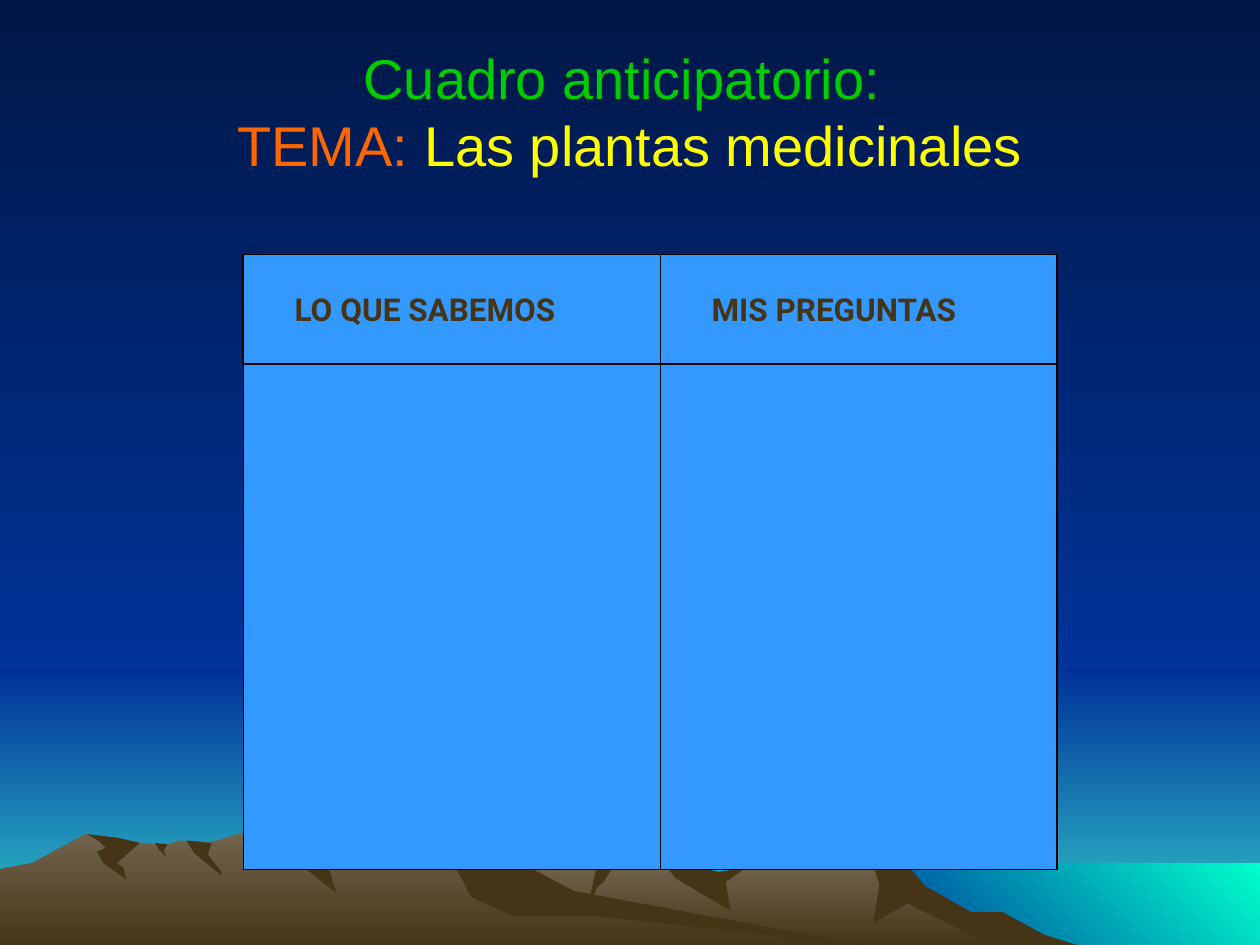
from collections import namedtuple
from pptx import Presentation
from pptx.dml.color import RGBColor as Rgb
from pptx.enum.shapes import MSO_SHAPE as Shape
from pptx.enum.text import MSO_ANCHOR as Anchor, PP_ALIGN as Align
from pptx.util import Inches, Pt
from lxml.etree import SubElement
from pptx.oxml.ns import qn

WIDE, HIGH = 10, 7.5
HORIZON = 5.33
SHORE = (6.83, 6.85)  # left and top of the sea
UNIT = Inches(0.01)  # the land is plotted in hundredths of an inch
BASE = 751  # foot of the land

NAVY = Rgb(0x00, 0x33, 0x99)
TEAL = Rgb(0x33, 0xCC, 0xCC)
AQUA = Rgb(0x00, 0xFF, 0xCC)
BROWN = Rgb(0x46, 0x34, 0x16)
BLUE = Rgb(0x33, 0x99, 0xFF)
BLACK = Rgb(0x00, 0x00, 0x00)
GREEN = Rgb(0x00, 0xCC, 0x00)
ORANGE = Rgb(0xFF, 0x66, 0x00)
YELLOW = Rgb(0xFF, 0xFF, 0x00)

# A blend runs from first to last; tone and share darken or lighten the first
Blend = namedtuple("Blend", "first last angle tone share", defaults=(None, 0))
DOWN, RISE = 270, 45  # counter-clockwise degrees
SKY = Blend(NAVY, NAVY, DOWN, "shade", 46275)
DUSK = Blend(NAVY, TEAL, DOWN)
SEA = Blend(NAVY, AQUA, RISE)
FAR = Blend(BROWN, BROWN, DOWN, "tint", 66667)
NEAR = Blend(BROWN, BROWN, DOWN, "tint", 75294)

# A range is a skyline, left to right, and the dark folds on its slopes
Range = namedtuple("Range", "blend skyline folds")
RIDGE = Range(
    FAR,
    [(258, 751), (327, 709), (394, 685), (471, 658), (536, 690), (566, 697),
     (613, 681), (685, 660), (702, 671), (723, 698), (764, 723), (778, 727),
     (802, 740), (821, 751)],
    {
        "east slope": [(685, 660), (707, 671), (734, 703), (771, 724), (796, 724),
                       (829, 742), (858, 751), (792, 752), (720, 717), (693, 733),
                       (698, 702)],
        "gully": [(471, 658), (497, 671), (479, 700), (474, 704), (465, 727),
                  (473, 690), (468, 671)],
        "saddle": [(529, 676), (542, 685), (570, 692), (592, 689), (576, 700),
                   (580, 723), (536, 697), (526, 683)],
    },
)
HILLS = Range(
    NEAR,
    [(0, 690), (26, 685), (46, 674), (68, 662), (94, 671), (111, 669),
     (132, 671), (143, 667), (160, 671), (189, 662), (202, 658), (223, 663),
     (236, 681), (271, 682), (318, 664), (354, 665), (432, 712), (667, 748),
     (690, 751)],
    {
        "middle peak": [(213, 659), (245, 668), (271, 682), (261, 689), (267, 709),
                        (241, 688), (232, 690), (208, 669)],
        "long slope": [(344, 665), (370, 668), (427, 692), (455, 707), (690, 751),
                       (472, 727), (407, 727), (374, 712), (363, 691), (337, 687)],
        "crack": [(148, 667), (168, 669), (165, 678), (175, 691), (176, 695),
                  (154, 677)],
        "notch": [(123, 669), (133, 670), (130, 675), (132, 680), (126, 674)],
        "west peak": [(69, 662), (94, 665), (111, 669), (93, 685), (98, 689),
                      (100, 698), (82, 685), (77, 676), (84, 673), (79, 668)],
    },
)

# Chart grid: column and row edges, then each heading with its box width
COLS = (1.93, 5.24, 8.39)
ROWS = (2.02, 2.89, 6.9)
HEADS = (("LO QUE SABEMOS", 2.52), ("MIS PREGUNTAS", 2.36))


def shade(fill, blend):
    fill.gradient()
    fill.gradient_angle = blend.angle
    for stop, color in zip(fill.gradient_stops, (blend.first, blend.last)):
        stop.color.rgb = color
    if blend.tone:
        # The tone is applied between gamma and its inverse
        first = next(fill._fill._gradFill.iter(qn("a:srgbClr")))
        SubElement(first, qn("a:gamma"))
        SubElement(first, qn("a:" + blend.tone)).set("val", str(blend.share))
        SubElement(first, qn("a:invGamma"))


def paint(shape, look):
    shape.shadow.inherit = False
    shape.line.fill.background()
    if isinstance(look, Blend):
        shade(shape.fill, look)
    else:
        shape.fill.solid()
        shape.fill.fore_color.rgb = look


def outline(slide, points, look):
    start, *rest = points
    pen = slide.shapes.build_freeform(*start, scale=UNIT)
    pen.add_line_segments(rest, close=True)
    paint(pen.convert_to_shape(), look)


def land(slide, chain):
    line = chain.skyline
    foot = [(line[-1][0], BASE), (line[0][0], BASE)]
    outline(slide, line + foot, chain.blend)
    for fold in chain.folds.values():
        outline(slide, fold, BROWN)


def box(slide, left, top, right, low, look):
    area = [Inches(v) for v in (left, top, right - left, low - top)]
    shape = slide.shapes.add_shape(Shape.RECTANGLE, *area)
    paint(shape, look)
    return shape


def cell(slide, *edges):
    line = box(slide, *edges, BLUE).line
    line.color.rgb = BLACK
    line.width = Pt(0.75)


def text(slide, left, top, width, height):
    area = [Inches(v) for v in (left, top, width, height)]
    frame = slide.shapes.add_textbox(*area).text_frame
    frame.word_wrap = True
    return frame


def style(run, name, size, color, bold=False):
    font = run.font
    font.name, font.size, font.bold = name, Pt(size), bold
    font.color.rgb = color


def scene(slide):
    shade(slide.background.fill, SKY)
    box(slide, 0, HORIZON, WIDE, HIGH, DUSK)
    box(slide, 0, 0, WIDE, HORIZON, SKY)
    box(slide, *SHORE, WIDE, HIGH, SEA)
    for chain in (RIDGE, HILLS):
        land(slide, chain)


def title(slide):
    frame = text(slide, 0.5, 0.25, WIDE - 1, 1.25)
    frame.vertical_anchor = Anchor.MIDDLE
    para = frame.paragraphs[0]
    para.text = "Cuadro anticipatorio: \vTEMA: "
    para.alignment = Align.CENTER
    para.add_run().text = "Las plantas medicinales"
    for run, color in zip(para.runs, (GREEN, ORANGE, YELLOW)):
        style(run, "Arial", 32, color)


def chart(slide):
    left, mid, right = COLS
    top, head, low = ROWS
    # Full columns, then the heading band and its right half over them
    cell(slide, left, top, mid, low)
    cell(slide, mid, top, right, low)
    for edge in (left, mid):
        cell(slide, edge, top, right, head)
    for edge, (words, width) in zip(COLS, HEADS):
        frame = text(slide, edge + 0.31, top + 0.23, width, 0.4)
        frame.text = words
        style(frame.paragraphs[0].runs[0], "Roboto", 18, BROWN, True)


def main():
    deck = Presentation()
    deck.slide_width, deck.slide_height = Inches(WIDE), Inches(HIGH)
    slide = deck.slides.add_slide(deck.slide_layouts[6])
    scene(slide)
    title(slide)
    chart(slide)
    deck.save("out.pptx")


if __name__ == "__main__":
    main()
